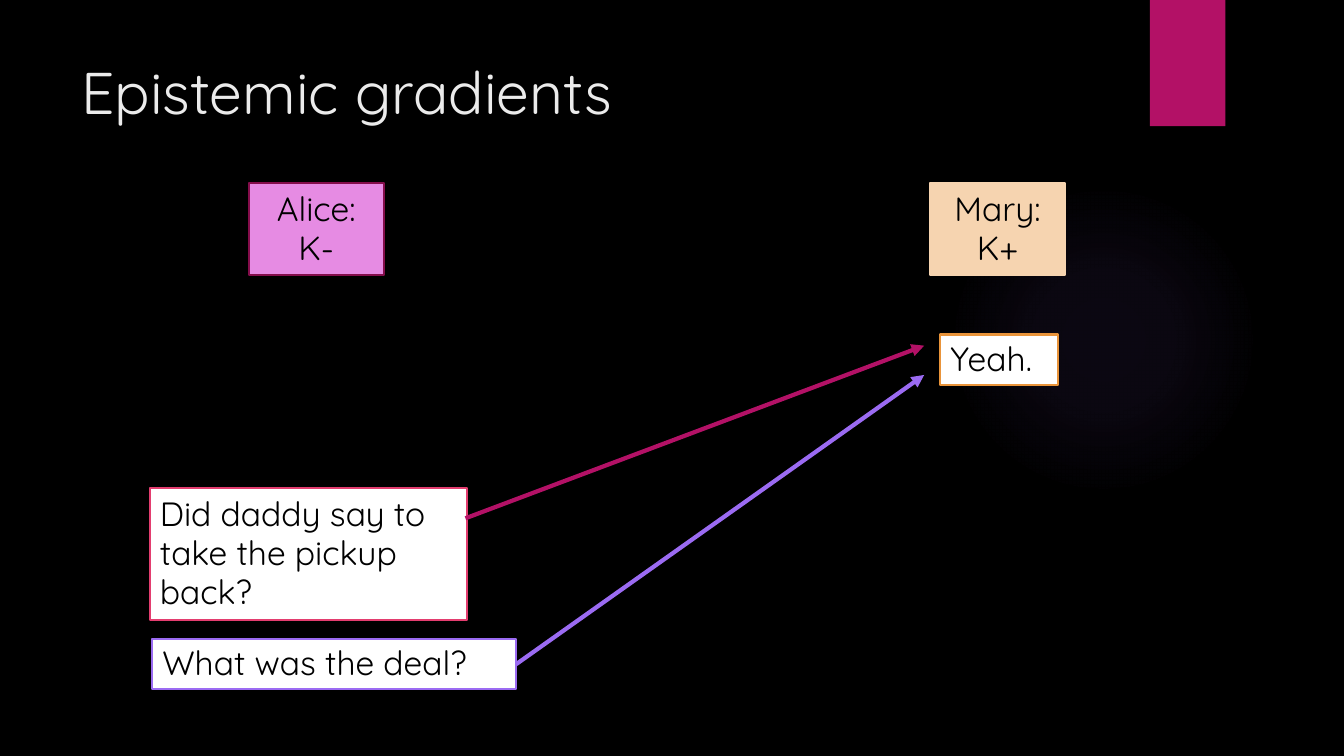
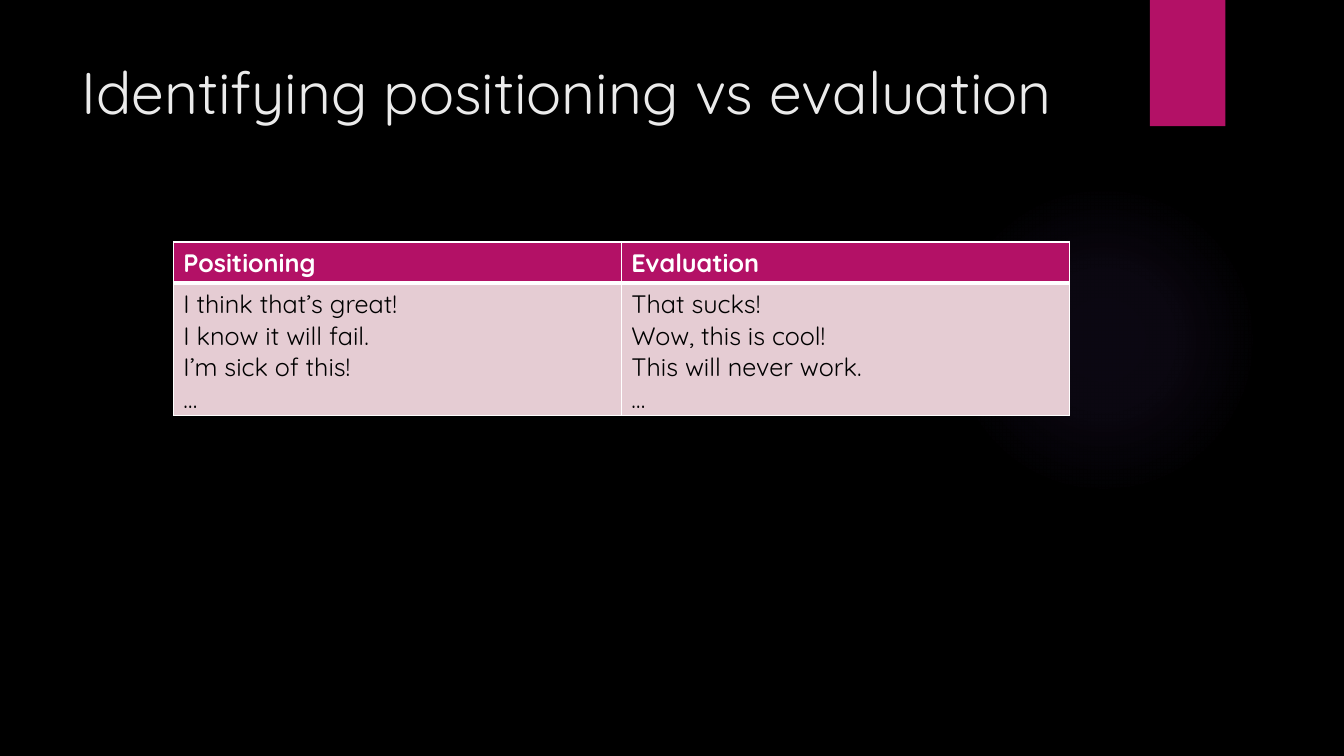
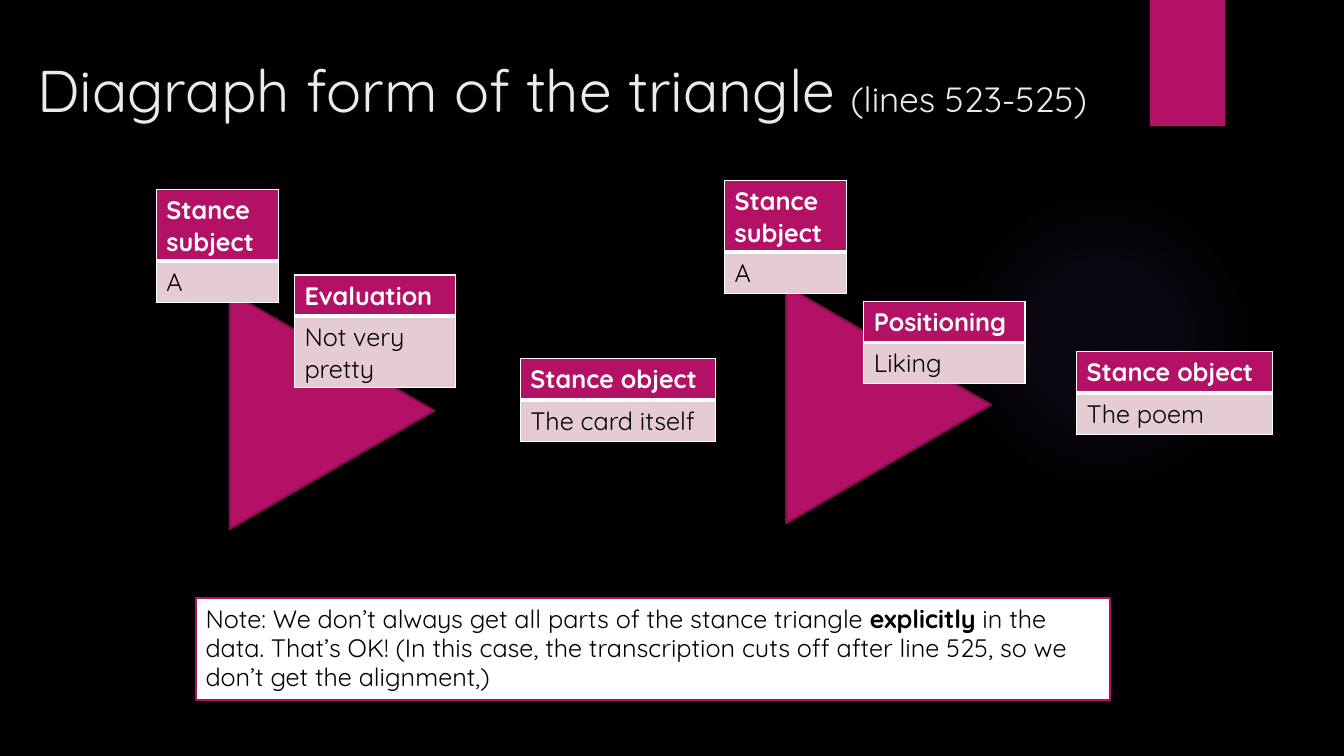
from pptx import Presentation
from pptx.dml.color import RGBColor
from pptx.enum.shapes import MSO_CONNECTOR, MSO_SHAPE
from pptx.enum.text import MSO_ANCHOR, MSO_AUTO_SIZE, PP_ALIGN
from pptx.oxml import parse_xml
from pptx.oxml.ns import nsdecls, qn
from pptx.util import Cm, Pt

RECT, OVAL, TRI = MSO_SHAPE.RECTANGLE, MSO_SHAPE.OVAL, MSO_SHAPE.ISOSCELES_TRIANGLE
LINE, GROW = MSO_CONNECTOR.STRAIGHT, MSO_AUTO_SIZE.SHAPE_TO_FIT_TEXT
LEFT, MID, CENTER = PP_ALIGN.LEFT, MSO_ANCHOR.MIDDLE, PP_ALIGN.CENTER


class Theme:
    font = "Quicksand"
    black, white, title = "000000", "FFFFFF", "EBEBEB"
    pink, wine, rose, blush = "B31166", "840D4B", "E33D6F", "E5CCD3"
    violet, orange, lilac, peach = "9B6BF2", "E9943A", "E68BE3", "F6D4B0"
    head, sub, large, body = 42, 25, 24, 18
    edge, arrow = 1.5, 3
    tight = 0.96


rgb = RGBColor.from_string


def write(frame, text, size=Theme.body, color=Theme.black, bold=False,
          align=LEFT, space=1.0):
    """Continue the last paragraph; each line break starts a new one."""
    for i, part in enumerate(text.split("\n")):
        para = frame.add_paragraph() if i else frame.paragraphs[-1]
        para.alignment, para.line_spacing = align, space
        run = para.add_run()
        run.text = part
        font = run.font
        font.name, font.size, font.bold = Theme.font, Pt(size), bold
        font.color.rgb = rgb(color)


def block(slide, kind, at, fill, edge=None):
    """Add a flat shape, ready for text."""
    shape = slide.shapes.add_shape(kind, *map(Cm, at))
    shape.shadow.inherit = False
    shape.fill.solid()
    shape.fill.fore_color.rgb = rgb(fill)
    if edge:
        shape.line.color.rgb = rgb(edge)
        shape.line.width = Pt(Theme.edge)
    else:
        shape.line.fill.background()
    return shape


deck = Presentation()
deck.slide_width, deck.slide_height = Cm(33.87), Cm(19.05)

# Shared look: background, glow, band and title
titles = [
    ("Epistemic gradients", "", (1.8, 1.27, 26.14, 3.89)),
    ("Identifying positioning vs evaluation", "", (1.8, 1.27, 26.14, 3.89)),
    ("Diagraph form of the triangle ", "(lines 523-525)", (0.69, 1.24, 28.45, 3.89)),
]
stops = "".join(
    f'<a:gs pos="{pos}000"><a:srgbClr val="{Theme.violet}">'
    f'<a:alpha val="{alpha}000"/></a:srgbClr></a:gs>'
    for pos, alpha in [(0, 7), (36, 6), (69, 0)])
slides = []
for title, note, at in titles:
    slide = deck.slides.add_slide(deck.slide_layouts[6])
    slides.append(slide)
    slide.background.fill.solid()
    slide.background.fill.fore_color.rgb = rgb(Theme.black)
    glow = block(slide, OVAL, (23.9, 4.65, 7.82, 7.82), Theme.violet)
    props = glow.element.spPr
    props.replace(props.find(qn("a:solidFill")), parse_xml(
        f'<a:gradFill {nsdecls("a")}><a:gsLst>{stops}</a:gsLst><a:path path="circle">'
        '<a:fillToRect l="50000" t="50000" r="50000" b="50000"/></a:path></a:gradFill>'))
    block(slide, RECT, (28.98, 0, 1.9, 3.18), Theme.pink)
    frame = slide.shapes.add_textbox(*map(Cm, at)).text_frame
    frame.word_wrap = True
    write(frame, title, size=Theme.head, color=Theme.title)
    if note:
        write(frame, note, size=Theme.sub, color=Theme.title)
grade, versus, graph = slides

# Slide 1: speakers and their turns
turns = [
    ("Did daddy say to take the pickup back?", (3.78, 12.29, 7.98, 3.33),
     Theme.white, Theme.rose, LEFT),
    ("What was the deal?", (3.84, 16.1, 9.17, 1.27), Theme.white, Theme.violet, LEFT),
    ("Yeah.", (23.7, 8.43, 2.97, 1.27), Theme.white, Theme.orange, LEFT),
    ("Alice: K-", (6.27, 4.62, 3.4, 2.31), Theme.lilac, Theme.wine, CENTER),
    ("Mary: K+", (23.44, 4.62, 3.4, 2.31), Theme.peach, Theme.peach, CENTER),
]
boxes = []
for text, at, fill, edge, align in turns:
    box = block(grade, RECT, at, fill, edge)
    box.text_frame.word_wrap, box.text_frame.auto_size = True, GROW
    write(box.text_frame, text, size=Theme.large, align=align, space=Theme.tight)
    boxes.append(box)

# Slide 1: arrows from question to answer
arrows = []
for start, end, color in [((11.73, 13.06), (23.29, 8.71), Theme.pink),
                          ((13.01, 16.74), (23.29, 9.45), Theme.violet)]:
    arrow = grade.shapes.add_connector(LINE, *map(Cm, start + end))
    arrow.line.color.rgb = rgb(color)
    arrow.line.width = Pt(Theme.arrow)
    arrow.line._get_or_add_ln().append(
        parse_xml(f'<a:tailEnd {nsdecls("a")} type="triangle"/>'))
    arrow._element.spPr.append(parse_xml(f'<a:effectLst {nsdecls("a")}/>'))
    arrows.append(arrow)
arrows[1].begin_connect(boxes[1], 3)

# Slide 3: triangles, each under its own tables
for at in [(5.38, 7.77, 5.97, 5.16), (19.41, 7.62, 5.97, 5.16)]:
    block(graph, TRI, at, Theme.pink, Theme.wine).rotation = 90

# Slides 2 and 3: tables as place, column width, lines per row, cells
tables = [
    (versus, (4.37, 6.1), 11.29, (1, 4), [
        ["Positioning", "Evaluation"],
        ["I think that’s great!\nI know it will fail.\nI’m sick of this!\n…",
         "That sucks!\nWow, this is cool!\nThis will never work.\n…"]]),
    (graph, (13.11, 9.04), 4.93, (1, 1), [["Stance object"], ["The card itself"]]),
    (graph, (3.94, 4.78), 3.07, (2, 1), [["Stance subject"], ["A"]]),
    (graph, (7.42, 6.93), 4.06, (1, 2), [["Evaluation"], ["Not very pretty"]]),
    (graph, (27.13, 8.86), 4.93, (1, 1), [["Stance object"], ["The poem"]]),
    (graph, (21.77, 7.59), 4.06, (1, 1), [["Positioning"], ["Liking"]]),
    (graph, (18.26, 4.55), 3.07, (2, 1), [["Stance subject"], ["A"]]),
]
for slide, (x, y), width, lines, cells in tables:
    high = [0.28 + 0.76 * n for n in lines]
    count = len(cells[0])
    grid = slide.shapes.add_table(
        2, count, Cm(x), Cm(y), Cm(width * count), Cm(sum(high))).table
    grid.horz_banding = False
    for r, row in enumerate(cells):
        grid.rows[r].height = Cm(high[r])
        for c, text in enumerate(row):
            cell = grid.cell(r, c)
            for side in "LRTB":
                thick = 3 if (r, side) in [(0, "B"), (1, "T")] else 1
                cell._tc.get_or_add_tcPr().append(parse_xml(
                    f'<a:ln{side} {nsdecls("a")} w="{Pt(thick)}"><a:solidFill>'
                    f'<a:srgbClr val="{Theme.white}"/></a:solidFill></a:ln{side}>'))
            cell.fill.solid()
            cell.fill.fore_color.rgb = rgb(Theme.blush if r else Theme.pink)
            write(cell.text_frame, text, bold=r == 0,
                  color=Theme.black if r else Theme.white)

# Slide 3: note
note = block(graph, RECT, (4.93, 15.06, 23.04, 2.57), Theme.white, Theme.pink)
frame = note.text_frame
frame.word_wrap, frame.auto_size, frame.vertical_anchor = True, GROW, MID
for text, bold in [
        ("Note: We don’t always get all parts of the stance triangle ", False),
        ("explicitly", True),
        (" in the data. That’s OK! (In this case, the transcription cuts off after "
         "line 525, so we don’t get the alignment,)", False)]:
    write(frame, text, bold=bold, space=Theme.tight)

deck.save("out.pptx")
